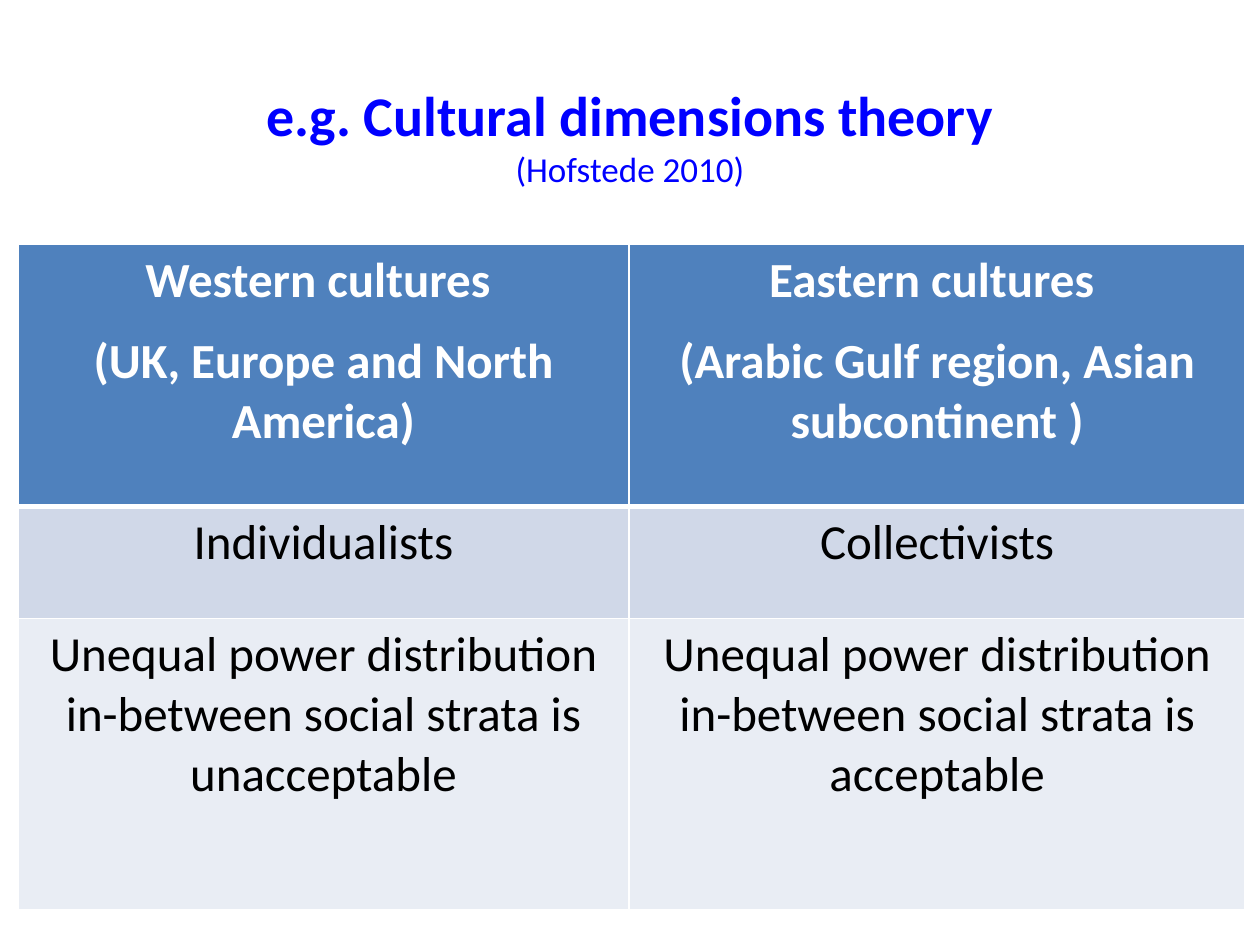
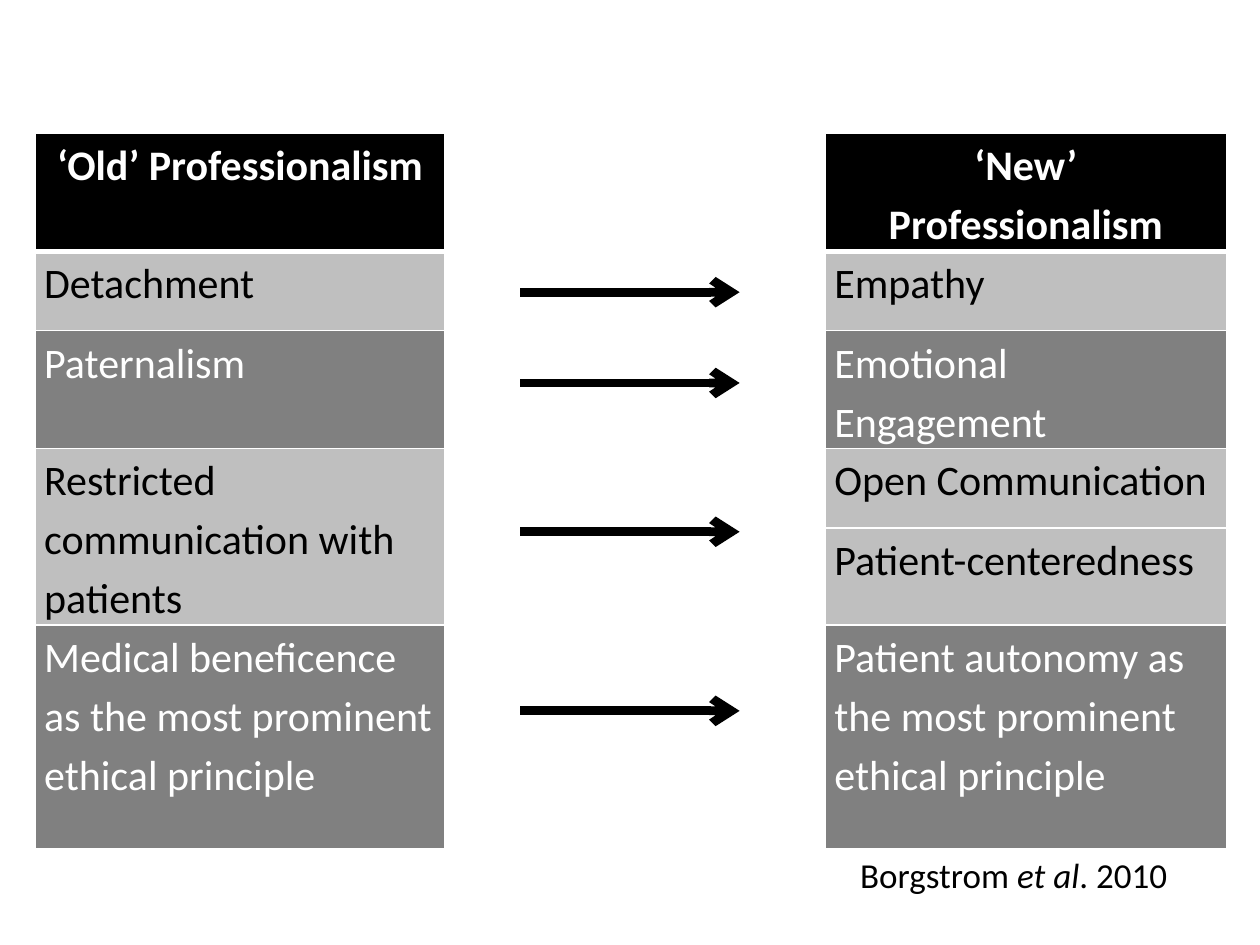
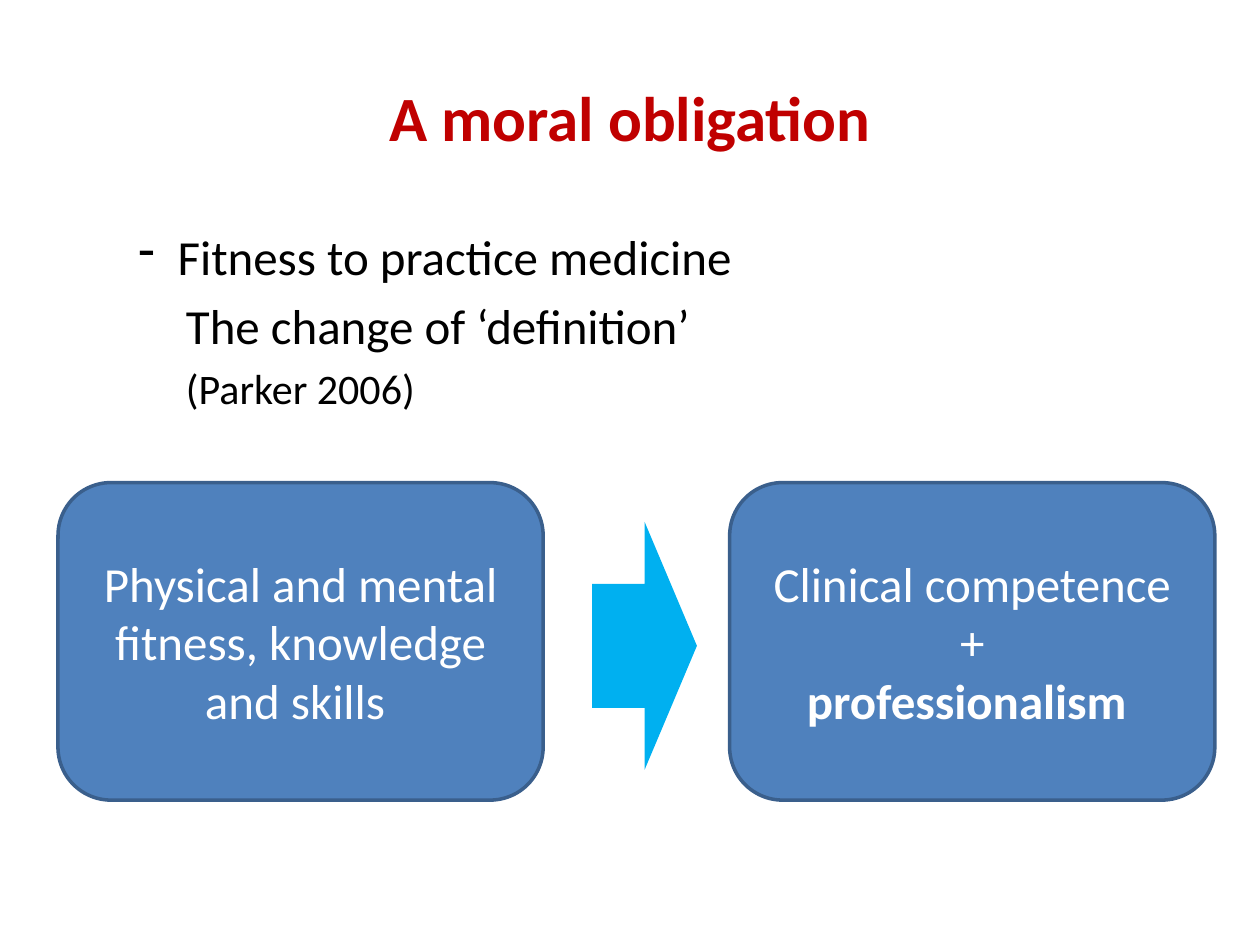
"""Build three slides on culture and medical professionalism."""
from typing import NamedTuple, Optional

from lxml.etree import SubElement
from pptx import Presentation
from pptx.dml.color import RGBColor
from pptx.enum.shapes import MSO_CONNECTOR, MSO_SHAPE
from pptx.enum.text import MSO_ANCHOR, MSO_AUTO_SIZE, PP_ALIGN
from pptx.oxml.ns import qn
from pptx.util import Cm, Pt

FONT = "Calibri"
COLOURS = {
    "white": "FFFFFF", "black": "000000", "blue": "0000FF", "red": "C00000",
    "accent": "4F81BD", "outline": "3A5F8C", "sky": "00B0F0",
    "band_dark": "D0D8E8", "band_light": "E9EDF4",
    "silver": "BFBFBF", "grey": "808080",
}
TITLE_ONLY, BLANK = 5, 6


class Area(NamedTuple):
    """A place on the page in centimetres."""
    left: float
    top: float
    width: float
    height: float

    def lengths(self) -> list:
        """Return the place as slide lengths."""
        return [Cm(value) for value in self]


class Look(NamedTuple):
    """The appearance of a run of text."""
    size: float
    colour: str
    bold: bool = False
    italic: bool = False


class Row(NamedTuple):
    """A table row with its height, colours and cell texts."""
    height: float
    fill: str
    ink: str
    texts: tuple


class TableStyle(NamedTuple):
    """Text settings that hold for a whole table."""
    size: float
    before: float
    after: float
    spacing: Optional[float]
    margins: Optional[tuple]
    body_align: PP_ALIGN


class Card(NamedTuple):
    """A rounded box with its paragraphs."""
    left: float
    lines: tuple
    bold_last: bool = False


class Point(NamedTuple):
    """A body paragraph with its size and indents."""
    text: str
    size: float
    margin: float
    hanging: float = 0
    bullet: str = ""


def rgb(name: str) -> RGBColor:
    """Look up a colour by name."""
    return RGBColor.from_string(COLOURS[name])


def style_run(span, look: Look) -> None:
    """Apply a look to a run."""
    span.font.name = FONT
    span.font.size = Pt(look.size)
    span.font.bold = look.bold
    span.font.italic = look.italic
    span.font.color.rgb = rgb(look.colour)


def style_paragraph(para, look: Look) -> None:
    """Apply a look to every run of a paragraph."""
    for span in para.runs:
        style_run(span, look)


def set_title(page, text: str, area: Area, looks: tuple) -> None:
    """Place the title and give each of its lines a look."""
    box = page.shapes.title
    box.left, box.top, box.width, box.height = area.lengths()
    frame = box.text_frame
    frame.text = text
    frame.auto_size = MSO_AUTO_SIZE.NONE
    frame.vertical_anchor = MSO_ANCHOR.MIDDLE
    para = frame.paragraphs[0]
    para.alignment = PP_ALIGN.CENTER
    for span, look in zip(para.runs, looks):
        style_run(span, look)


def set_borders(cell, top: float, bottom: float) -> None:
    """Draw white lines around a cell."""
    properties = cell._tc.get_or_add_tcPr()
    for tag, width in (("lnL", 1), ("lnR", 1), ("lnT", top), ("lnB", bottom)):
        line = SubElement(properties, qn(f"a:{tag}"), w=str(Pt(width)))
        fill = SubElement(line, qn("a:solidFill"))
        SubElement(fill, qn("a:srgbClr"), val=COLOURS["white"])


def fill_cell(cell, text: str, row: Row, header: bool, style: TableStyle) -> None:
    """Write and format one filled cell."""
    cell.fill.solid()
    cell.fill.fore_color.rgb = rgb(row.fill)
    if style.margins:
        side, end = style.margins
        cell.margin_left = cell.margin_right = Cm(side)
        cell.margin_top = cell.margin_bottom = Cm(end)
    cell.text_frame.text = text
    for index, para in enumerate(cell.text_frame.paragraphs):
        para.alignment = PP_ALIGN.CENTER if header else style.body_align
        para.space_before = Pt(style.before if index else 0)
        para.space_after = Pt(style.after)
        if style.spacing:
            para.line_spacing = style.spacing
        style_paragraph(para, Look(style.size, row.ink, header))


def add_grid(page, left: float, top: float, widths: tuple, rows: tuple,
             style: TableStyle, merges: tuple = ()) -> None:
    """Add a table with a header row and leave cells without text clear."""
    area = Area(left, top, sum(widths), sum(row.height for row in rows))
    table = page.shapes.add_table(len(rows), len(widths), *area.lengths()).table
    for column, width in zip(table.columns, widths):
        column.width = Cm(width)
    for first, last in merges:
        table.cell(*first).merge(table.cell(*last))
    for index, row in enumerate(rows):
        table.rows[index].height = Cm(row.height)
        for cell, text in zip(table.rows[index].cells, row.texts):
            set_borders(cell, 3 if index == 1 else 1, 1 if index else 3)
            if text:
                fill_cell(cell, text, row, index == 0, style)
            else:
                cell.fill.background()


def add_arrow(page, left: float, right: float, height: float) -> None:
    """Add a level black arrow."""
    arrow = page.shapes.add_connector(
        MSO_CONNECTOR.STRAIGHT, Cm(left), Cm(height), Cm(right), Cm(height))
    arrow.line.color.rgb = rgb("black")
    arrow.line.width = Pt(5)
    SubElement(arrow.line._get_or_add_ln(), qn("a:tailEnd"), type="arrow")
    SubElement(arrow._element.spPr, qn("a:effectLst"))


def add_block(page, kind: MSO_SHAPE, area: Area, fill: str, outline: str = ""):
    """Add a filled preset shape without shadow."""
    block = page.shapes.add_shape(kind, *area.lengths())
    block.shadow.inherit = False
    block.fill.solid()
    block.fill.fore_color.rgb = rgb(fill)
    if outline:
        block.line.color.rgb = rgb(outline)
        block.line.width = Pt(2)
    else:
        block.line.fill.background()
    return block


def add_card(page, card: Card) -> None:
    """Add a rounded box with centred white text."""
    block = add_block(page, MSO_SHAPE.ROUNDED_RECTANGLE,
                      Area(card.left, 9.73, 9.78, 6.4), "accent", "outline")
    frame = block.text_frame
    frame.word_wrap = True
    frame.vertical_anchor = MSO_ANCHOR.MIDDLE
    frame.text = "\n".join(card.lines)
    for para in frame.paragraphs:
        para.alignment = PP_ALIGN.CENTER
        style_paragraph(para, Look(28, "white"))
    if card.bold_last:
        style_paragraph(frame.paragraphs[-1], Look(28, "white", True))


def add_points(page, area: Area, points: tuple) -> None:
    """Add the indented body text."""
    frame = page.shapes.add_textbox(*area.lengths()).text_frame
    frame.word_wrap = True
    frame.text = "\n".join(point.text for point in points)
    for index, (para, point) in enumerate(zip(frame.paragraphs, points)):
        properties = para._p.get_or_add_pPr()
        properties.set("marL", str(Cm(point.margin)))
        properties.set("indent", str(Cm(point.hanging)))
        para.space_before = Pt(point.size * 0.2 if index else 0)
        if point.bullet:
            SubElement(properties, qn("a:buChar"), char=point.bullet)
        style_paragraph(para, Look(point.size, "black"))


def add_citation(page, area: Area, parts: tuple) -> None:
    """Add a one-line citation made of plain and italic parts."""
    frame = page.shapes.add_textbox(*area.lengths()).text_frame
    frame.word_wrap = False
    frame.auto_size = MSO_AUTO_SIZE.SHAPE_TO_FIT_TEXT
    frame.vertical_anchor = MSO_ANCHOR.MIDDLE
    for text, italic in parts:
        span = frame.paragraphs[0].add_run()
        span.text = text
        style_run(span, Look(20, "black", italic=italic))


def build_cultures(deck) -> None:
    """Build the comparison of Western and Eastern cultures."""
    page = deck.slides.add_slide(deck.slide_layouts[TITLE_ONLY])
    set_title(page, "e.g. Cultural dimensions theory\v(Hofstede 2010)",
              Area(0, 2.13, 25.4, 1.17), (Look(32, "blue", True), Look(20, "blue")))
    rows = (
        Row(5.28, "accent", "white", (
            "Western cultures \n(UK, Europe and North America)",
            "Eastern cultures \n(Arabic Gulf region, Asian subcontinent )")),
        Row(2.26, "band_dark", "black", ("Individualists", "Collectivists")),
        Row(5.87, "band_light", "black", tuple(
            f"Unequal power distribution in-between social strata is {verdict}"
            for verdict in ("unacceptable", "acceptable"))),
    )
    style = TableStyle(28, 6, 6, None, None, PP_ALIGN.CENTER)
    add_grid(page, 0.36, 4.93, (12.32, 12.42), rows, style)


def build_professionalism(deck) -> None:
    """Build the move from old to new professionalism."""
    page = deck.slides.add_slide(deck.slide_layouts[BLANK])
    rows = (
        Row(2.03, "black", "white", ("‘Old’ Professionalism", "", "‘New’ Professionalism")),
        Row(1.6, "silver", "black", ("Detachment", "", "Empathy")),
        Row(1.6, "grey", "white", ("Paternalism", "", "Emotional Engagement")),
        Row(1.6, "silver", "black", (
            "Restricted communication with patients", "", "Open Communication")),
        Row(1.55, "silver", "black", ("", "", "Patient-centeredness")),
        Row(4.5, "grey", "white", (
            "Medical beneficence as the most prominent ethical principle", "",
            "Patient autonomy as the most prominent ethical principle")),
    )
    style = TableStyle(24, 0, 2, 1.15, (0.18, 0), PP_ALIGN.LEFT)
    merges = tuple(((3, column), (4, column)) for column in (0, 1))
    add_grid(page, 0.71, 2.69, (8.26, 7.67, 8.08), rows, style, merges)
    for height in (5.89, 7.72, 10.72, 14.33):
        add_arrow(page, 10.49, 14.91, height)
    add_citation(page, Area(17.09, 17.07, 6.76, 1.12),
                 (("Borgstrom ", False), ("et al", True), (". 2010", False)))


def build_obligation(deck) -> None:
    """Build the changed definition of fitness to practice."""
    page = deck.slides.add_slide(deck.slide_layouts[TITLE_ONLY])
    set_title(page, "A moral obligation", Area(1.27, 0.76, 22.86, 3.18),
              (Look(36, "red", True),))
    add_points(page, Area(1.27, 4.45, 22.86, 12.57), (
        Point("Fitness to practice medicine", 28, 2.06, -0.79, "-"),
        Point("The change of ‘definition’", 28, 2.23),
        Point("(Parker 2006)", 24, 2.23),
    ))
    cards = (
        Card(1.17, ("Physical and mental fitness, knowledge and skills ",)),
        Card(14.71, ("Clinical competence", "+", "professionalism "), True),
    )
    for card in cards:
        add_card(page, card)
    add_block(page, MSO_SHAPE.RIGHT_ARROW, Area(11.94, 10.52, 2.11, 5), "sky")


def main() -> None:
    """Build and save the deck."""
    deck = Presentation()
    deck.slide_width, deck.slide_height = Cm(25.4), Cm(19.05)
    build_cultures(deck)
    build_professionalism(deck)
    build_obligation(deck)
    deck.save("out.pptx")


if __name__ == "__main__":
    main()
